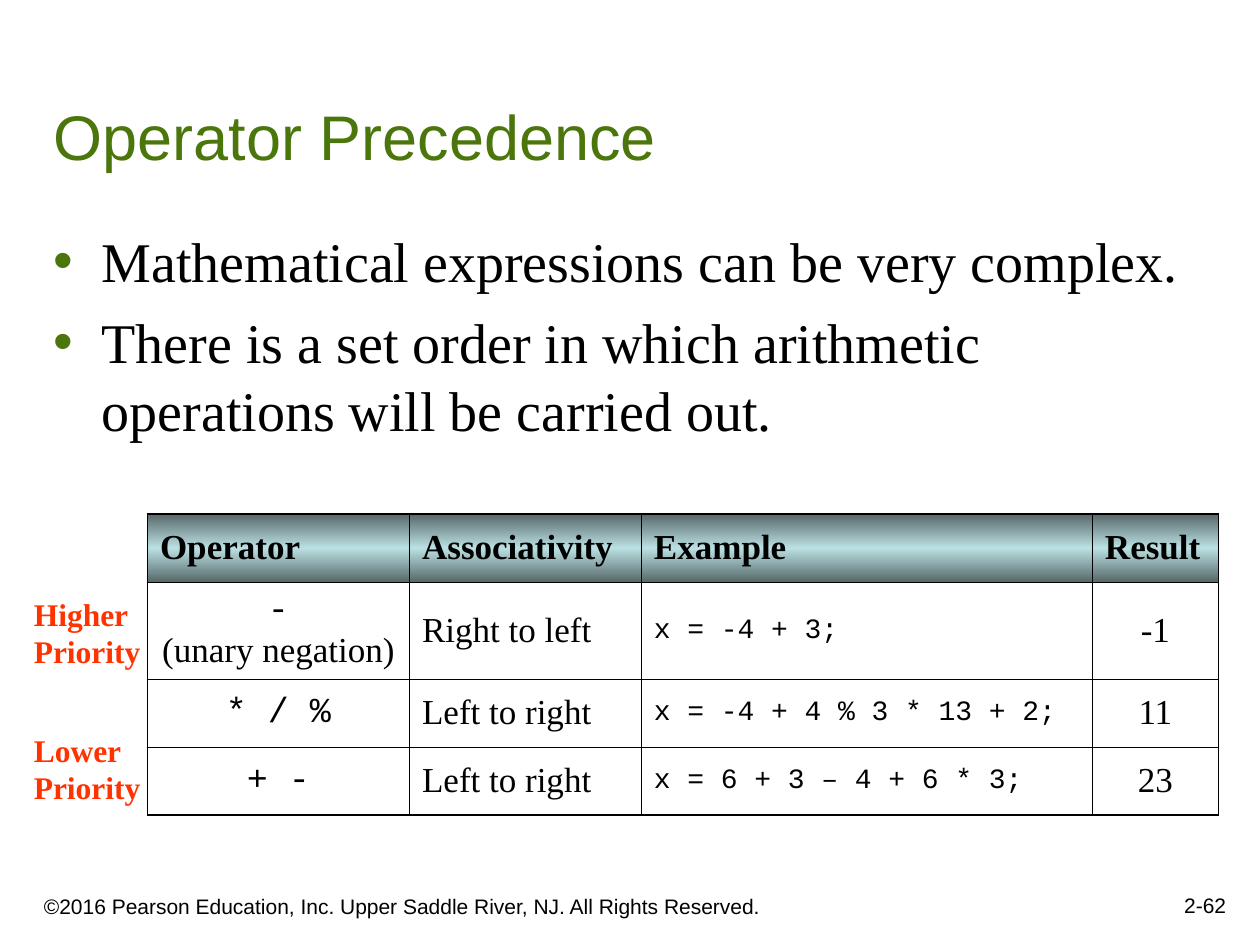
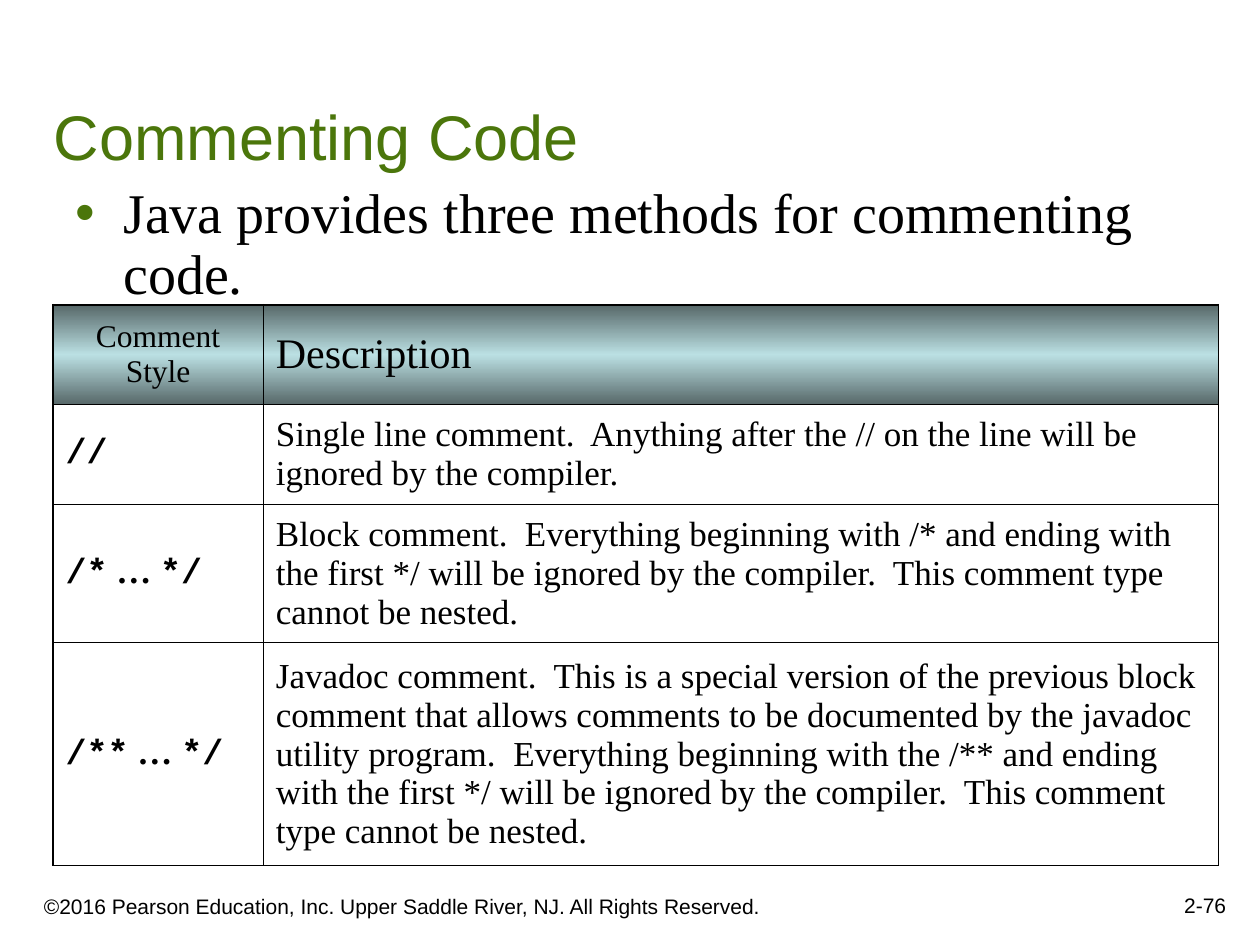
"""Build two lecture slides: operator precedence and commenting code."""
from lxml import etree
from pptx import Presentation
from pptx import util as u
from pptx.dml.color import RGBColor
from pptx.enum import text
from pptx.oxml import ns

SANS, SERIF, MONO = "Arial", "Times New Roman", "Courier New"
GREEN, BLACK, RED = "4B760B", "000000", "FF3300"
HEADER_STOPS = [(0, "576869"), (50, "BBE0E3"), (100, "576869")]
THIN, THICK, HEAVY = 0.45, 1.08, 1.47
LEFT, CENTER, RIGHT = text.PP_ALIGN.LEFT, text.PP_ALIGN.CENTER, text.PP_ALIGN.RIGHT
TOP, BOTTOM = text.MSO_ANCHOR.TOP, text.MSO_ANCHOR.BOTTOM
COPYRIGHT = "©2016 Pearson Education, Inc. Upper Saddle River, NJ. All Rights Reserved."


def comment_mark(start):
    return [(start, MONO), (" … ", SERIF), ("*/", MONO)]


HEAD = dict(font=SERIF, size=20, bold=True)
WORDS = dict(font=SERIF, size=20)
CODE = dict(font=MONO, size=16)
SYMBOL = dict(font=MONO, size=20, align=CENTER)
NUMBER = dict(font=SERIF, size=20, align=CENTER)
MARK = dict(font=MONO, size=20, bold=True)

SLIDES = [
    dict(
        title="Operator Precedence", number="2-62",
        bullets=["Mathematical expressions can be very complex.",
                 "There is a set order in which arithmetic operations will be carried out."],
        body=(0.33, 1.75, 9.07, 5), spacing=1,
        table=dict(
            at=(1.17, 4.08), cols=[2.08, 1.84, 3.58, 1], rows=[0.54, 0.77, 0.54, 0.54], top=THICK,
            head=[HEAD] * 4, styles=[SYMBOL, WORDS, CODE, NUMBER],
            cells=[["Operator", "Associativity", "Example", "Result"],
                   [[("-\n", MONO), ("(unary negation)", SERIF)], "Right to left", "x = -4 + 3;", "-1"],
                   ["* / %", "Left to right", "x = -4 + 4 % 3 * 13 + 2;", "11"],
                   ["+ -", "Left to right", "x = 6 + 3 – 4 + 6 * 3;", "23"]]),
        labels=[("Higher", 4.67), ("Lower", 5.75)]),
    dict(
        title="Commenting Code", number="2-76",
        bullets=["Java provides three methods for commenting code."],
        body=(0.5, 1.42, 8.5, 1.08), spacing=0.9,
        table=dict(
            at=(0.42, 2.42), cols=[1.67, 7.58], rows=[0.79, 0.79, 1.1, 1.77], top=HEAVY,
            head=[dict(font=SERIF, size=18, align=CENTER), dict(font=SERIF, size=24)],
            styles=[MARK, WORDS],
            cells=[["Comment\nStyle", "Description"],
                   ["//", "Single line comment.  Anything after the // on the line will be "
                          "ignored by the compiler."],
                   [comment_mark("/*"),
                    "Block comment.  Everything beginning with /* and ending with the first */ "
                    "will be ignored by the compiler.  This comment type cannot be nested."],
                   [comment_mark("/**"),
                    "Javadoc comment.  This is a special version of the previous block comment "
                    "that allows comments to be documented by the javadoc utility program.  "
                    "Everything beginning with the /** and ending with the first */ will be "
                    "ignored by the compiler.  This comment type cannot be nested."]]),
        labels=[]),
]


def rgb(value):
    return RGBColor.from_string(value)


def sub(parent, tag, **attrs):
    e = etree.SubElement(parent, ns.qn(tag))
    for key, value in attrs.items():
        e.set(key, str(value))
    return e


def write(p, content, font, size, color=BLACK, bold=False, align=LEFT, spacing=1):
    p.alignment, p.line_spacing = align, spacing
    for words, face in [(content, font)] if isinstance(content, str) else content:
        for i, line in enumerate(words.split("\n")):
            if i:
                p.add_line_break()
            if line:
                r = p.add_run()
                r.text = line
                r.font.name, r.font.size, r.font.bold = face, u.Pt(size), bold
                r.font.color.rgb = rgb(color)


def add_text(s, at, lines, anchor=TOP, bullet=False, **style):
    tf = s.shapes.add_textbox(*map(u.Inches, at)).text_frame
    tf.word_wrap, tf.vertical_anchor = True, anchor
    if bullet:
        tf.margin_right = 0
    for i, line in enumerate(lines):
        p = tf.add_paragraph() if i else tf.paragraphs[0]
        if bullet:
            add_bullet(p)
            p.space_before = u.Pt(8 if i else 0)
        write(p, line, **style)


def add_bullet(p):
    pPr = p._p.get_or_add_pPr()
    indent = u.Inches(0.38)
    pPr.set("marL", str(indent))
    pPr.set("indent", str(-indent))
    sub(sub(pPr, "a:buClr"), "a:srgbClr", val=GREEN)
    sub(pPr, "a:buFont", typeface=SANS)
    sub(pPr, "a:buChar", char="•")


def add_borders(tcPr, widths):
    for side, width in zip("LRTB", widths):
        ln = sub(tcPr, "a:ln" + side, w=u.Pt(width))
        sub(sub(ln, "a:solidFill"), "a:srgbClr", val=BLACK)


def add_gradient(tcPr):
    grad = sub(tcPr, "a:gradFill", rotWithShape=1)
    stops = sub(grad, "a:gsLst")
    for pos, color in HEADER_STOPS:
        sub(sub(stops, "a:gs", pos=pos * 1000), "a:srgbClr", val=color)
    sub(grad, "a:lin", ang=90 * 60000, scaled=0)


def add_grid(s, at, cols, rows, top, head, styles, cells):
    size = sum(cols), sum(rows)
    tbl = s.shapes.add_table(len(rows), len(cols), *map(u.Inches, at + size)).table
    tbl.first_row = tbl.horz_banding = False
    for col, width in zip(tbl.columns, cols):
        col.width = u.Inches(width)
    last_row, last_col = len(rows) - 1, len(cols) - 1
    for i, row in enumerate(cells):
        tbl.rows[i].height = u.Inches(rows[i])
        for j, content in enumerate(row):
            cell = tbl.cell(i, j)
            cell.vertical_anchor = text.MSO_ANCHOR.MIDDLE
            write(cell.text_frame.paragraphs[0], content, **(styles if i else head)[j])
            tcPr = cell._tc.get_or_add_tcPr()
            add_borders(tcPr, (THIN if j else THICK, THICK if j == last_col else THIN,
                               THIN if i else top, THICK if i == last_row else THIN))
            if i:
                cell.fill.background()
            else:
                add_gradient(tcPr)


def add_slide(prs, title, number, bullets, body, spacing, table, labels):
    s = prs.slides.add_slide(prs.slide_layouts[6])
    footer = dict(anchor=BOTTOM, font=SANS, size=12)
    add_text(s, (0.25, 6.92, 6.08, 0.42), [COPYRIGHT], **footer)
    add_text(s, (7.75, 6.83, 2.08, 0.5), [number], align=RIGHT, **footer)
    add_text(s, (0.33, 0.33, 9.42, 1.09), [title], BOTTOM, font=SANS, size=36, color=GREEN)
    add_text(s, body, bullets, bullet=True, font=SERIF, size=32, spacing=spacing)
    add_grid(s, **table)
    for level, y in labels:
        add_text(s, (0.17, y, 1.15, 0.7), [level, "Priority"],
                 font=SERIF, size=18, color=RED, bold=True)


def main():
    prs = Presentation()
    prs.slide_width, prs.slide_height = u.Inches(10), u.Inches(7.5)
    for slide in SLIDES:
        add_slide(prs, **slide)
    prs.save("out.pptx")


if __name__ == "__main__":
    main()
